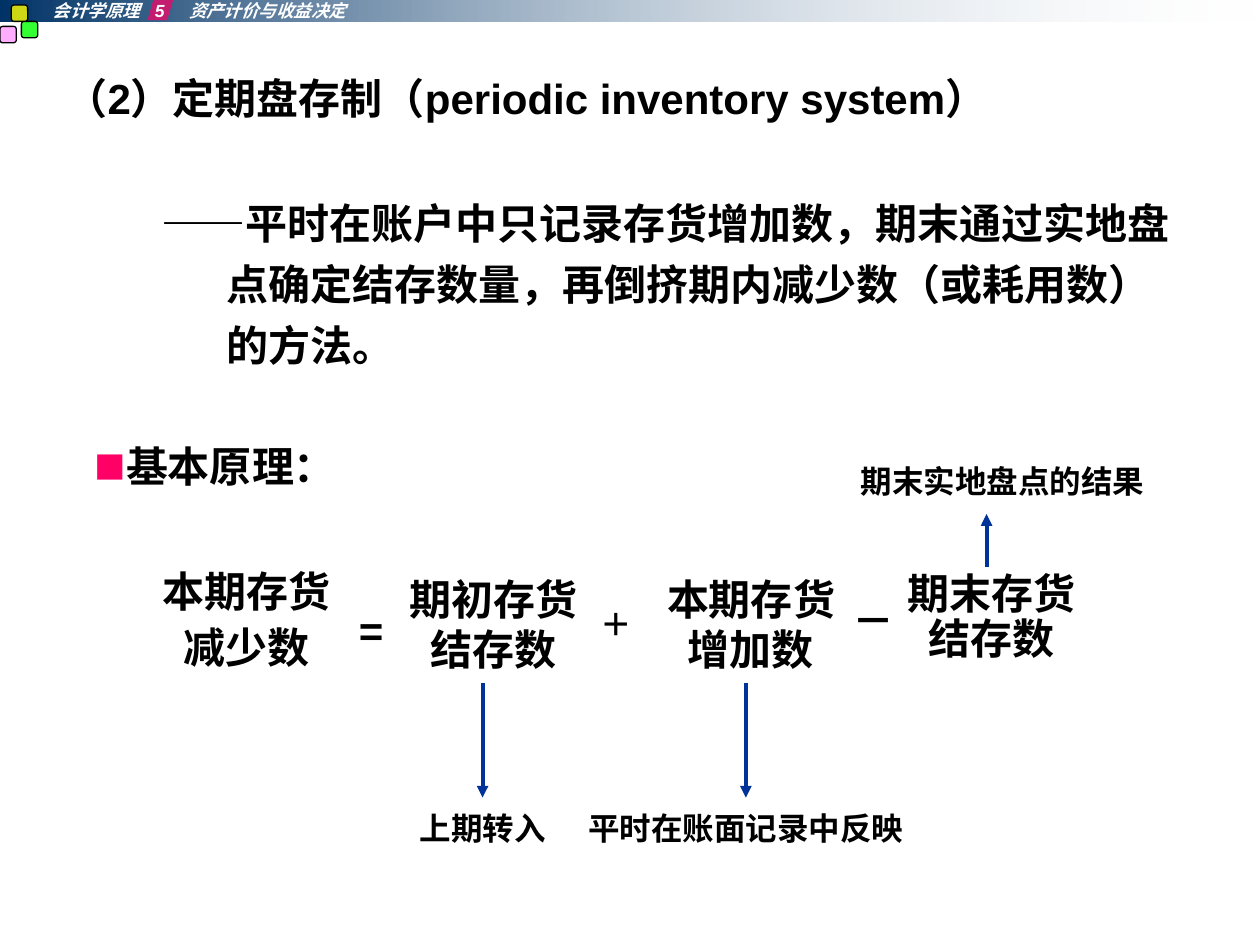
from dataclasses import dataclass

from lxml.etree import SubElement
from pptx import Presentation
from pptx.dml.color import RGBColor
from pptx.enum.shapes import MSO_CONNECTOR as Connector, MSO_SHAPE as Shape
from pptx.enum.text import MSO_ANCHOR as Anchor, MSO_AUTO_SIZE as AutoSize, PP_ALIGN as Align
from pptx.oxml.ns import qn
from pptx.util import Inches, Pt


@dataclass(frozen=True)
class Theme:
    navy: str = "003366"
    mist: str = "E7ECF1"
    arrow: str = "003399"
    accent: str = "FF0066"
    pink: str = "FF99FF"
    green: str = "00FF00"
    yellow: str = "FFFF00"
    ink: str = "000000"
    white: str = "FFFFFF"
    font: str = "Arial"
    cjk_font: str = "Noto Sans CJK SC"
    body_size: int = 24
    label_size: int = 18
    header_size: int = 10


THEME = Theme()


def color(value):
    return RGBColor.from_string(value)


def place(shape, left, top, width, height):
    shape.left, shape.top = Inches(left), Inches(top)
    shape.width, shape.height = Inches(width), Inches(height)


def style(paragraph, size=THEME.body_size, ink=THEME.ink, name=THEME.font, italic=False):
    for run in paragraph.runs:
        font = run.font
        font.name, font.size = name, Pt(size)
        font.bold, font.italic = True, italic
        font.color.rgb = color(ink)


def set_frame(frame, horizontal=0.0, vertical=0.0, anchor=Anchor.TOP):
    frame.word_wrap = True
    frame.auto_size = AutoSize.NONE
    frame.vertical_anchor = anchor
    frame.margin_left = frame.margin_right = Inches(horizontal)
    frame.margin_top = frame.margin_bottom = Inches(vertical)


def set_indent(paragraph, margin, first_line):
    properties = paragraph._p.get_or_add_pPr()
    properties.set("marL", str(Inches(margin)))
    properties.set("indent", str(Inches(first_line)))
    return properties


def set_alpha(fill_color, percent):
    SubElement(fill_color, qn("a:alpha"), val=str(percent * 1000))


def add_preset(slide, preset, box, fill, alpha, adjustment, outline=None):
    shape = slide.shapes.add_shape(preset, *map(Inches, box))
    shape.shadow.inherit = False
    shape.adjustments[0] = adjustment
    shape.fill.solid()
    shape.fill.fore_color.rgb = color(fill)
    set_alpha(shape._element.spPr.find(".//" + qn("a:srgbClr")), alpha)
    if outline:
        shape.line.color.rgb = color(outline)
        shape.line.width = Pt(0.75)
    else:
        shape.line.fill.background()


def add_header_bar(slide):
    bar = slide.shapes.add_shape(Shape.RECTANGLE, 0, 0, Inches(10), Inches(0.17))
    bar.shadow.inherit = False
    bar.line.fill.background()
    bar.fill.gradient()
    bar.fill.gradient_angle = 0
    for stop, value, position in zip(bar.fill.gradient_stops, (THEME.navy, THEME.mist), (0, 1)):
        stop.color.rgb = color(value)
        stop.position = position
    set_alpha(bar._element.spPr.findall(".//" + qn("a:srgbClr"))[-1], 0)


def add_text(slide, box, text, size=THEME.body_size, ink=THEME.ink, name=THEME.font,
             align=Align.LEFT, inset=(0.1, 0.05), spacing=None, italic=False):
    shape = slide.shapes.add_textbox(*map(Inches, box))
    frame = shape.text_frame
    set_frame(frame, *inset)
    frame.text = text
    for index, paragraph in enumerate(frame.paragraphs):
        paragraph.alignment = align
        if spacing:
            paragraph.line_spacing = spacing
        if index:
            paragraph.space_before = Pt(15)
        style(paragraph, size, ink, name, italic)
    return frame


def add_label(slide, box, text):
    add_text(slide, box, text, THEME.label_size, inset=(0, 0))


def add_arrow(slide, x, start, end):
    arrow = slide.shapes.add_connector(
        Connector.STRAIGHT, Inches(x), Inches(start), Inches(x), Inches(end))
    arrow.line.color.rgb = color(THEME.arrow)
    arrow.line.width = Pt(2.25)
    SubElement(arrow.line._get_or_add_ln(), qn("a:tailEnd"), type="triangle")
    SubElement(arrow._element.spPr, qn("a:effectLst"))


def add_header(slide):
    add_header_bar(slide)
    squares = ((0, 0.21, THEME.pink), (0.17, 0.17, THEME.green), (0.09, 0.04, THEME.yellow))
    for left, top, fill in squares:
        add_preset(slide, Shape.ROUNDED_RECTANGLE, (left, top, 0.13, 0.13),
                   fill, 80, 0.167, THEME.ink)
    add_preset(slide, Shape.PARALLELOGRAM, (1.17, -0.02, 0.21, 0.18), THEME.accent, 70, 0.299)
    frame = add_text(slide, (0.42, 0, 2.92, 0.17), "会计学原理\t5\t资产计价与收益决定",
                     THEME.header_size, THEME.white, inset=(0, 0), italic=True)
    tabs = SubElement(frame.paragraphs[0]._p.get_or_add_pPr(), qn("a:tabLst"))
    for position in (0.81, 1.08):
        SubElement(tabs, qn("a:tab"), pos=str(Inches(position)), algn="l")


def fill_title(title):
    place(title, 0.42, 0.5, 9.17, 0.55)
    set_frame(title.text_frame, 0.1, 0.05, Anchor.MIDDLE)
    title.text_frame.text = "（2）定期盘存制（periodic inventory system）"
    paragraph = title.text_frame.paragraphs[0]
    paragraph.alignment = Align.LEFT
    style(paragraph)


def fill_body(body):
    place(body, 0.42, 1.49, 8.95, 2.5)
    frame = body.text_frame
    set_frame(frame)
    frame.text = ("——平时在账户中只记录存货增加数，期末通过实地盘点确定结存数量，"
                  "再倒挤期内减少数（或耗用数）的方法。\n基本原理：")
    definition, principle = frame.paragraphs
    for paragraph in frame.paragraphs:
        paragraph.line_spacing = Pt(34.6)
        paragraph.space_before = Pt(0)
    principle.space_before = Pt(34.6)
    SubElement(set_indent(definition, 1.38, -0.52), qn("a:buNone"))
    properties = set_indent(principle, 0.58, -0.25)
    bullet_color = SubElement(properties, qn("a:buClr"))
    SubElement(bullet_color, qn("a:srgbClr"), val=THEME.accent)
    SubElement(properties, qn("a:buSzPct"), val="75000")
    SubElement(properties, qn("a:buFont"), typeface=THEME.cjk_font)
    SubElement(properties, qn("a:buChar"), char="■")
    for paragraph in frame.paragraphs:
        style(paragraph)


def add_equation(slide):
    add_text(slide, (1.17, 4.58, 1.58, 0.79), "本期存货\n减少数", name=THEME.cjk_font,
             align=Align.CENTER, spacing=0.6)
    terms = (
        ((3.08, 4.5, 1.67, 0.9), "期初存货结存数", THEME.font, None),
        ((5.17, 4.5, 1.58, 0.9), "本期存货增加数", THEME.cjk_font, None),
        ((7.08, 4.5, 1.58, 0.82), "期末存货结存数", THEME.font, 0.9),
    )
    for box, text, name, spacing in terms:
        add_text(slide, box, text, name=name, align=Align.CENTER, spacing=spacing)
    add_text(slide, (2.75, 4.75, 0.42, 0.5), "=")
    add_text(slide, (4.67, 4.75, 0.42, 0.4), "＋", THEME.label_size)
    add_text(slide, (6.67, 4.67, 0.42, 0.5), "－", name=THEME.cjk_font)


def add_sources(slide):
    """Point from each right-hand term to where its figure comes from."""
    for x, start, end in ((3.83, 5.42, 6.33), (5.92, 5.42, 6.33), (7.83, 4.5, 4.08)):
        add_arrow(slide, x, start, end)
    add_label(slide, (3.33, 6.42, 1.08, 0.3), "上期转入")
    add_label(slide, (4.67, 6.42, 2.67, 0.3), "平时在账面记录中反映")
    add_label(slide, (6.83, 3.67, 2.42, 0.3), "期末实地盘点的结果")


def main():
    presentation = Presentation()
    presentation.slide_width, presentation.slide_height = Inches(10), Inches(7.5)
    slide = presentation.slides.add_slide(presentation.slide_layouts[1])
    fill_title(slide.shapes.title)
    fill_body(slide.placeholders[1])
    add_header(slide)
    add_equation(slide)
    add_sources(slide)
    presentation.save("out.pptx")


if __name__ == "__main__":
    main()
